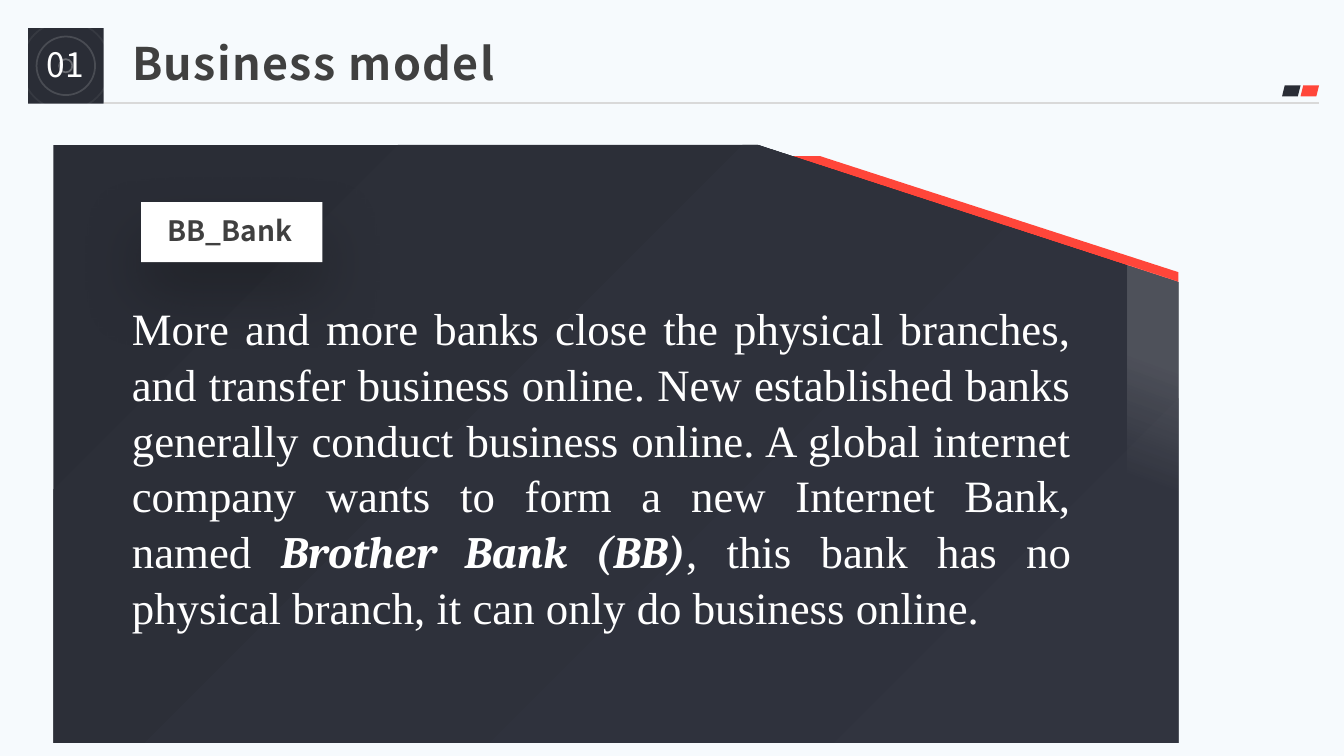
from dataclasses import dataclass

from lxml import etree
from pptx import Presentation
from pptx import util as u
from pptx.dml.color import RGBColor
from pptx.enum import shapes, text
from pptx.oxml.ns import qn


@dataclass(frozen=True)
class Theme:
    back: str = "F6FAFD"
    dark: str = "2A2D36"
    slate: str = "31343F"
    red: str = "FF463A"
    white: str = "FFFFFF"
    ink: str = "404040"
    rule: str = "D9D9D9"
    shade: str = "0D0D0D"
    sans: str = "Noto Sans CJK SC"
    serif: str = "Times New Roman"
    accent: str = "Cambria"
    large: int = 32
    mid: int = 24
    small: int = 20


class Deck:
    """Draws styled elements on one slide, with lengths in points."""

    def __init__(self, theme):
        self.theme = theme
        self.file = Presentation()
        self.file.slide_width, self.file.slide_height = u.Pt(960), u.Pt(540)
        self.slide = self.file.slides.add_slide(self.file.slide_layouts[5])
        self.paint(self.slide.background.fill, theme.back)

    def paint(self, fill, tone):
        fill.solid()
        fill.fore_color.rgb = RGBColor.from_string(tone)

    def fade(self, node, share):
        for color in node.iter(qn("a:srgbClr")):
            etree.SubElement(color, qn("a:alpha"), val=str(share * 1000))

    def line(self, x1, y1, x2, y2, tone, width):
        rule = self.slide.shapes.add_connector(
            shapes.MSO_CONNECTOR.STRAIGHT, *map(u.Pt, (x1, y1, x2, y2)))
        self.paint(rule.line.fill, tone)
        rule.line.width = u.Pt(width)
        etree.SubElement(rule._element.spPr, qn("a:effectLst"))

    def block(self, kind, box, tone):
        item = self.slide.shapes.add_shape(kind, *map(u.Pt, box))
        item.shadow.inherit = False
        self.paint(item.fill, tone)
        item.line.fill.background()
        return item

    def ring(self, mid, size, share):
        edge = mid - size / 2
        item = self.block(shapes.MSO_SHAPE.OVAL, (edge, edge, size, size), self.theme.white)
        item.fill.background()
        self.paint(item.line.fill, self.theme.white)
        item.line.width = u.Pt(1.25)
        self.fade(item._element.spPr, share)

    def outline(self, spots):
        first, *rest = [(u.Pt(x), u.Pt(y)) for x, y in spots]
        build = self.slide.shapes.build_freeform(*first)
        build.add_line_segments(rest, close=True)
        item = build.convert_to_shape()
        item.shadow.inherit = False
        item.line.fill.background()
        return item

    def blend(self, item, angle, stops):
        item.fill.gradient()
        item.fill.gradient_angle = 360 - angle
        for stop, (place, tone, share) in zip(item.fill.gradient_stops, stops):
            stop.position = place
            stop.color.rgb = RGBColor.from_string(tone)
            if share < 100:
                self.fade(stop._gs, share)

    def shade(self, item, tone, share, blur, drop):
        glow = etree.SubElement(
            item._element.spPr.find(qn("a:effectLst")), qn("a:outerShdw"),
            blurRad=str(u.Pt(blur)), dist=str(u.Pt(drop)), dir="5400000",
            algn="t", rotWithShape="0")
        etree.SubElement(glow, qn("a:srgbClr"), val=tone)
        self.fade(glow, share)

    def fit(self, item, runs, size, tone, align, space=1.0, middle=False):
        frame = item.text_frame
        frame.word_wrap = True
        frame.auto_size = text.MSO_AUTO_SIZE.NONE
        anchor = text.MSO_ANCHOR
        frame.vertical_anchor = anchor.MIDDLE if middle else anchor.TOP
        para = frame.paragraphs[0]
        para.alignment, para.line_spacing = align, space
        for words, face, bold, slant in runs:
            run = para.add_run()
            run.text = words
            font = run.font
            font.name, font.size = face, u.Pt(size)
            font.bold, font.italic = bold, slant
            font.color.rgb = RGBColor.from_string(tone)

    def label(self, box, *style, **more):
        self.fit(self.slide.shapes.add_textbox(*map(u.Pt, box)), *style, **more)

    def title(self, box, *style, **more):
        item = self.slide.shapes.title
        item.left, item.top, item.width, item.height = map(u.Pt, box)
        self.fit(item, *style, **more)
        for run in item.text_frame.paragraphs[0].runs:
            run.font._element.set("spc", "100")


def main():
    theme = Theme()
    deck = Deck(theme)
    align = text.PP_ALIGN
    kind = shapes.MSO_SHAPE

    deck.line(74, 73.3, 942.2, 73.3, theme.rule, 1.5)
    for x, tone in ((929, theme.red), (915.8, theme.dark)):
        deck.block(kind.PARALLELOGRAM, (x, 61, 13.2, 7.8), tone)
    deck.block(kind.RECTANGLE, (20, 20, 54, 54), theme.dark)
    for size, share in ((9.4, 30), (63.4, 5), (41.8, 15)):
        deck.ring(47, size, share)

    left, right, slope, base = 38.2, 841.7, 201.6, 530.6
    stripe = deck.outline([(563.8, 111.6), (586.1, 111.6), (right, 194.4), (right, slope)])
    deck.paint(stripe.fill, theme.red)
    panel = deck.outline([(left, 103.5), (541.4, 103.5), (right, slope),
                          (right, base), (left, base)])
    deck.blend(panel, 45, [(0, theme.dark, 100), (1, theme.slate, 100)])
    sheen = deck.outline([(805, 189.4), (right, slope), (right, 371.5), (805, 371.5)])
    deck.blend(sheen, 110, [(0.39, theme.white, 15), (0.83, theme.white, 0)])

    tag = deck.block(kind.RECTANGLE, (100.8, 144.3, 129.6, 43), theme.white)
    deck.shade(tag, theme.shade, 30, 44, 22)
    deck.label((108.7, 144, 110.9, 33.8), [("BB_Bank", theme.sans, True, False)],
               theme.small, theme.ink, align.CENTER, space=1.2)
    deck.label((18.7, 20.9, 56.2, 53.3), [("01", theme.sans, False, False)],
               theme.mid, theme.white, align.CENTER, space=0.9, middle=True)
    deck.title((87.1, 25.9, 854.6, 42.5), [("Business model", theme.sans, True, False)],
               theme.large, theme.ink, align.LEFT, space=0.9, middle=True)
    deck.label((87.1, 209.5, 685.4, 239.8), [
        ("More and more banks close the physical branches, and transfer business online. "
         "New established banks generally conduct business online. A global internet "
         "company wants to form a new Internet Bank, named ", theme.serif, False, False),
        ("Brother Bank (BB)", theme.accent, True, True),
        (", this bank has no physical branch, it can only do business online.",
         theme.serif, False, False),
    ], theme.large, theme.white, align.JUSTIFY, space=1.04)

    deck.file.save("out.pptx")


if __name__ == "__main__":
    main()
